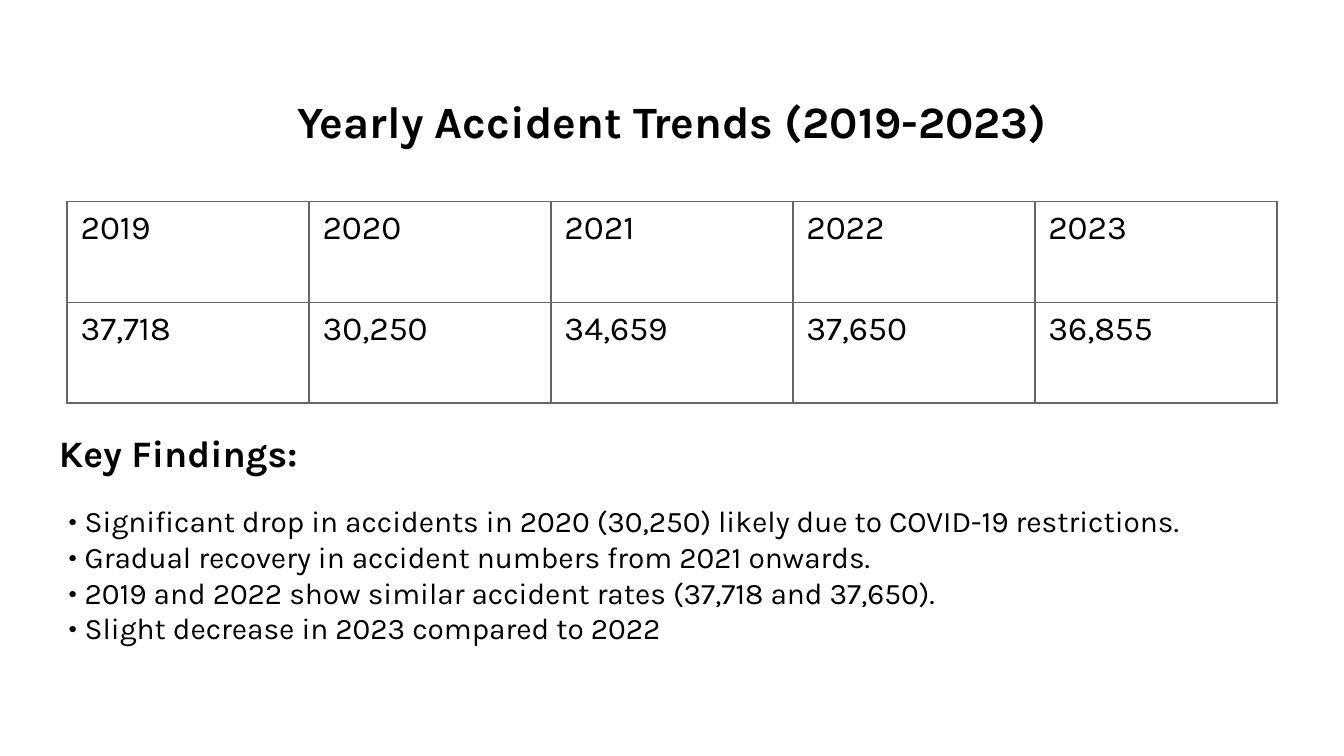
"""Build a slide on yearly accident trends with a table and key findings."""
from lxml import etree
from pptx import Presentation
from pptx import util as u
from pptx.dml.color import RGBColor
from pptx.enum import text
from pptx.oxml.ns import qn

TITLE = "Yearly Accident Trends (2019-2023)"
ACCIDENTS = {
    "2019": "37,718",
    "2020": "30,250",
    "2021": "34,659",
    "2022": "37,650",
    "2023": "36,855",
}
HEADING = "Key Findings:"
FINDINGS = [
    "Significant drop in accidents in 2020 (30,250) likely due to COVID-19 restrictions.",
    "Gradual recovery in accident numbers from 2021 onwards.",
    "2019 and 2022 show similar accident rates (37,718 and 37,650).",
    "Slight decrease in 2023 compared to 2022",
]
THEME = {
    "font": "Karla",
    "ink": "000000",
    "paper": "FFFFFF",
    "border": "666666",
    "title": 24,
    "heading": 20,
    "cell": 18,
    "body": 16,
}
BULLET_INDENT = u.Inches(0.12)


def place(shape, left, top, width, height):
    shape.left, shape.top = u.Inches(left), u.Inches(top)
    shape.width, shape.height = u.Inches(width), u.Inches(height)


def set_frame(frame, anchor):
    frame.word_wrap = True
    frame.auto_size = text.MSO_AUTO_SIZE.NONE
    frame.vertical_anchor = anchor


def write(para, words, size, bold=False, align=text.PP_ALIGN.LEFT):
    para.alignment = align
    span = para.add_run()
    span.text = words
    span.font.name = THEME["font"]
    span.font.size = u.Pt(THEME[size])
    span.font.bold = bold
    span.font.color.rgb = RGBColor.from_string(THEME["ink"])


def add_bullet(para):
    props = para._p.get_or_add_pPr()
    props.set("marL", str(BULLET_INDENT))
    props.set("indent", str(-BULLET_INDENT))
    etree.SubElement(props, qn("a:buFont"), typeface=THEME["font"])
    etree.SubElement(props, qn("a:buChar"), char="•")


def style_cell(cell):
    props = cell._tc.get_or_add_tcPr()
    for side in ("lnL", "lnR", "lnT", "lnB"):
        line = etree.SubElement(props, qn(f"a:{side}"), w=str(u.Pt(1)))
        fill = etree.SubElement(line, qn("a:solidFill"))
        etree.SubElement(fill, qn("a:srgbClr"), val=THEME["border"])
    cell.fill.background()


def add_accident_table(page):
    rows = [list(ACCIDENTS), list(ACCIDENTS.values())]
    frame = page.shapes.add_table(
        len(rows), len(ACCIDENTS),
        u.Inches(0.5), u.Inches(1.5), u.Inches(9), u.Inches(1.5))
    table = frame.table
    table.first_row = table.horz_banding = False
    for r, values in enumerate(rows):
        for c, value in enumerate(values):
            cell = table.cell(r, c)
            style_cell(cell)
            write(cell.text_frame.paragraphs[0], value, "cell")


def main():
    deck = Presentation()
    deck.slide_width = u.Inches(10)
    deck.slide_height = deck.slide_width * 9 // 16
    page = deck.slides.add_slide(deck.slide_layouts[1])
    page.background.fill.solid()
    page.background.fill.fore_color.rgb = RGBColor.from_string(THEME["paper"])

    title, body = page.placeholders
    place(title, 0.5, 0.5, 9, 0.8)
    set_frame(title.text_frame, text.MSO_ANCHOR.MIDDLE)
    write(title.text_frame.paragraphs[0], TITLE, "title", True, text.PP_ALIGN.CENTER)

    add_accident_table(page)

    heading = page.shapes.add_textbox(
        u.Inches(0.34), u.Inches(3.12), u.Inches(9), u.Inches(0.5))
    set_frame(heading.text_frame, text.MSO_ANCHOR.MIDDLE)
    write(heading.text_frame.paragraphs[0], HEADING, "heading", True)

    place(body, 0.41, 3.69, 9.59, 1.18)
    frame = body.text_frame
    set_frame(frame, text.MSO_ANCHOR.TOP)
    for i, finding in enumerate(FINDINGS):
        para = frame.add_paragraph() if i else frame.paragraphs[0]
        para.space_before = u.Pt(0)
        add_bullet(para)
        write(para, finding, "body")

    deck.save("out.pptx")


if __name__ == "__main__":
    main()
